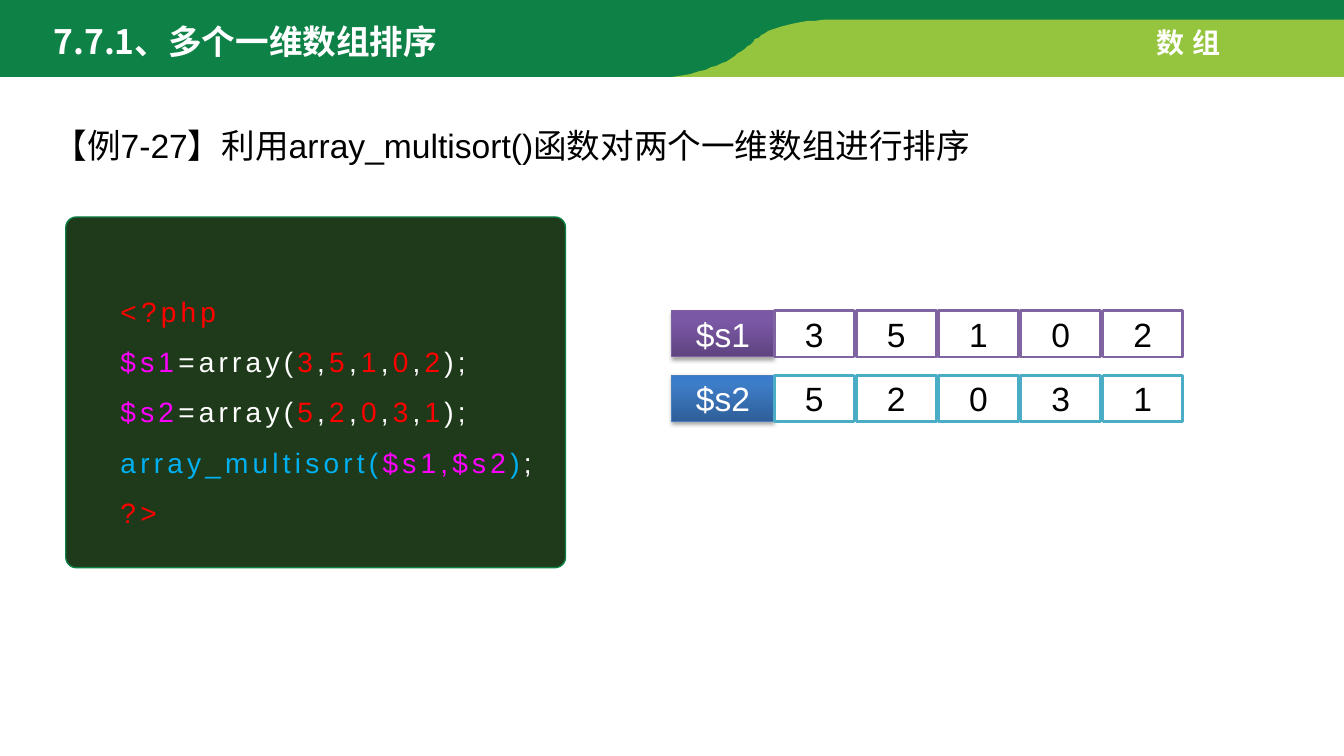
from lxml.etree import SubElement
from pptx import Presentation
from pptx.dml.color import RGBColor
from pptx.enum.shapes import MSO_SHAPE
from pptx.enum.text import MSO_ANCHOR, MSO_AUTO_SIZE, PP_ALIGN
from pptx.oxml.ns import qn
from pptx.util import Pt

COLORS = {
    "band": "0E8146", "wave": "95C53E", "panel": "1E3A1A",
    "white": "FFFFFF", "black": "000000", "red": "FF0000",
    "magenta": "FF00FF", "blue": "00B0F0",
}
CJK = "Noto Sans CJK SC"


def rgb(name):
    return RGBColor.from_string(COLORS.get(name, name))


def put_text(sp, lines, size=24, color="black", font="Arial", bold=False, spacing=0,
             align=PP_ALIGN.LEFT, line_spacing=1.0, anchor=MSO_ANCHOR.TOP, wrap=True):
    tf = sp.text_frame
    tf.auto_size = MSO_AUTO_SIZE.NONE
    tf.word_wrap = wrap
    tf.vertical_anchor = anchor
    for i, runs in enumerate(lines):
        p = tf.paragraphs[0] if i == 0 else tf.add_paragraph()
        pPr = p._p.get_or_add_pPr()
        pPr.set("marL", "0")
        pPr.set("indent", "0")
        SubElement(pPr, qn("a:buNone"))
        p.alignment = align
        p.line_spacing = line_spacing
        p.space_before = Pt(0)
        for text, run_color in [(runs, color)] if isinstance(runs, str) else runs:
            r = p.add_run()
            r.text = text
            r.font.name = font
            r.font.size = Pt(size)
            r.font.bold = bold
            r.font.color.rgb = rgb(run_color)
            rPr = r._r.get_or_add_rPr()
            rPr.set("spc", str(spacing * 100))
            SubElement(rPr, qn("a:ea"), typeface=CJK)


def curve(p0, p1, p2, p3, steps=32):
    return [
        tuple((1 - t) ** 3 * a + 3 * (1 - t) ** 2 * t * b + 3 * (1 - t) * t ** 2 * c + t ** 3 * d
              for a, b, c, d in zip(p0, p1, p2, p3))
        for t in (i / steps for i in range(steps + 1))
    ]


class SlideBuilder:
    def __init__(self, s):
        self.s = s

    def style(self, sp, fill, line=None, width=1):
        sp.shadow.inherit = False
        sp.fill.solid()
        sp.fill.fore_color.rgb = rgb(fill)
        if line:
            sp.line.color.rgb = rgb(line)
            sp.line.width = Pt(width)
        else:
            sp.line.fill.background()

    def freeform(self, points, fill):
        fb = self.s.shapes.build_freeform(*points[0], scale=Pt(1))
        fb.add_line_segments(points[1:], close=True)
        self.style(fb.convert_to_shape(), fill)

    def shape(self, kind, box, fill, line, width):
        sp = self.s.shapes.add_shape(kind, *map(Pt, box))
        self.style(sp, fill, line, width)
        return sp

    def cell(self, box, text, line, fill="white", color="black", width=2):
        sp = self.shape(MSO_SHAPE.RECTANGLE, box, fill, line, width)
        put_text(sp, [text], color=color, align=PP_ALIGN.CENTER, anchor=MSO_ANCHOR.MIDDLE)
        return sp

    def label(self, box, text, line, stops):
        sp = self.cell(box, text, line, color="white", width=0.75)
        sp.fill.gradient()
        spPr = sp._element.spPr
        gs_list = spPr.find(".//" + qn("a:gsLst"))
        for gs in list(gs_list):
            gs_list.remove(gs)
        for pos, color in zip((0, 80, 100), stops):
            gs = SubElement(gs_list, qn("a:gs"), pos=str(pos * 1000))
            SubElement(gs, qn("a:srgbClr"), val=color)
        spPr.find(".//" + qn("a:lin")).set("ang", str(270 * 60000))
        shadow = SubElement(spPr.find(qn("a:effectLst")), qn("a:outerShdw"),
                            blurRad=str(Pt(3.1)), dist=str(Pt(1.8)), dir=str(90 * 60000),
                            rotWithShape="0")
        clr = SubElement(shadow, qn("a:srgbClr"), val=COLORS["black"])
        SubElement(clr, qn("a:alpha"), val="35000")

    def textbox(self, box, lines, **fmt):
        put_text(self.s.shapes.add_textbox(*map(Pt, box)), lines, **fmt)

    def placeholder(self, idx, box, lines, **fmt):
        sp = self.s.placeholders[idx]
        sp.left, sp.top, sp.width, sp.height = map(Pt, box)
        self.s.shapes._spTree.append(sp._element)
        put_text(sp, lines, **fmt)


def array_line(name, values):
    runs = [(name, "magenta"), ("=array(", "white")]
    for value in values:
        runs += [(str(value), "red"), (",", "white")]
    return runs[:-1] + [(");", "white")]


def main():
    prs = Presentation()
    prs.slide_width, prs.slide_height = Pt(960), Pt(540)
    b = SlideBuilder(prs.slides.add_slide(prs.slide_layouts[1]))

    b.freeform([(0, -2), (960, -2), (960, 17), (595, 17)]
               + curve((582, 20), (523, 32), (554, 55), (472, 55)) + [(0, 55)], "band")
    b.freeform([(960, 14), (960, 55)]
               + curve((480, 55), (556, 43), (516, 14), (604, 14)), "wave")
    b.textbox((819, 15, 67, 32), ["数组"], size=20, color="white", bold=True,
              spacing=6, wrap=False)
    b.placeholder(0, (31, 11, 340, 36), ["7.7.1、多个一维数组排序"],
                  color="white", font=CJK, bold=True)
    b.placeholder(1, (31, 71, 868, 45),
                  ["【例7-27】利用array_multisort()函数对两个一维数组进行排序"],
                  align=PP_ALIGN.JUSTIFY, line_spacing=1.5)

    arrays = [
        ("$s1", (3, 5, 1, 0, 2), "8064A2", "7D60A0", ("5F4480", "7B58A6", "7C57A8")),
        ("$s2", (5, 2, 0, 3, 1), "4BACC6", "4B7EBC", ("2F5F99", "3D7CC7", "3A7CCB")),
    ]
    panel = b.shape(MSO_SHAPE.ROUNDED_RECTANGLE, (47, 155, 357, 250.5), "panel", "band", 1)
    panel.adjustments[0] = 0.03
    code = [
        [("<?php", "red")],
        *[array_line(name, values) for name, values, *_ in arrays],
        [("array_multisort(", "blue"), ("$s1,$s2", "magenta"), (")", "blue"), (";", "white")],
        [("?>", "red")],
    ]
    b.textbox((79, 194.5, 327, 189), code, size=20, spacing=3, line_spacing=1.5)

    for row, (name, values, cell_line, label_line, stops) in enumerate(arrays):
        top = 222 + 46 * row
        b.label((480, top, 73, 33), name, label_line, stops)
        for col, value in enumerate(values):
            b.cell((553 + 58.7 * col, top, 57, 33), str(value), cell_line)

    prs.save("out.pptx")


if __name__ == "__main__":
    main()
